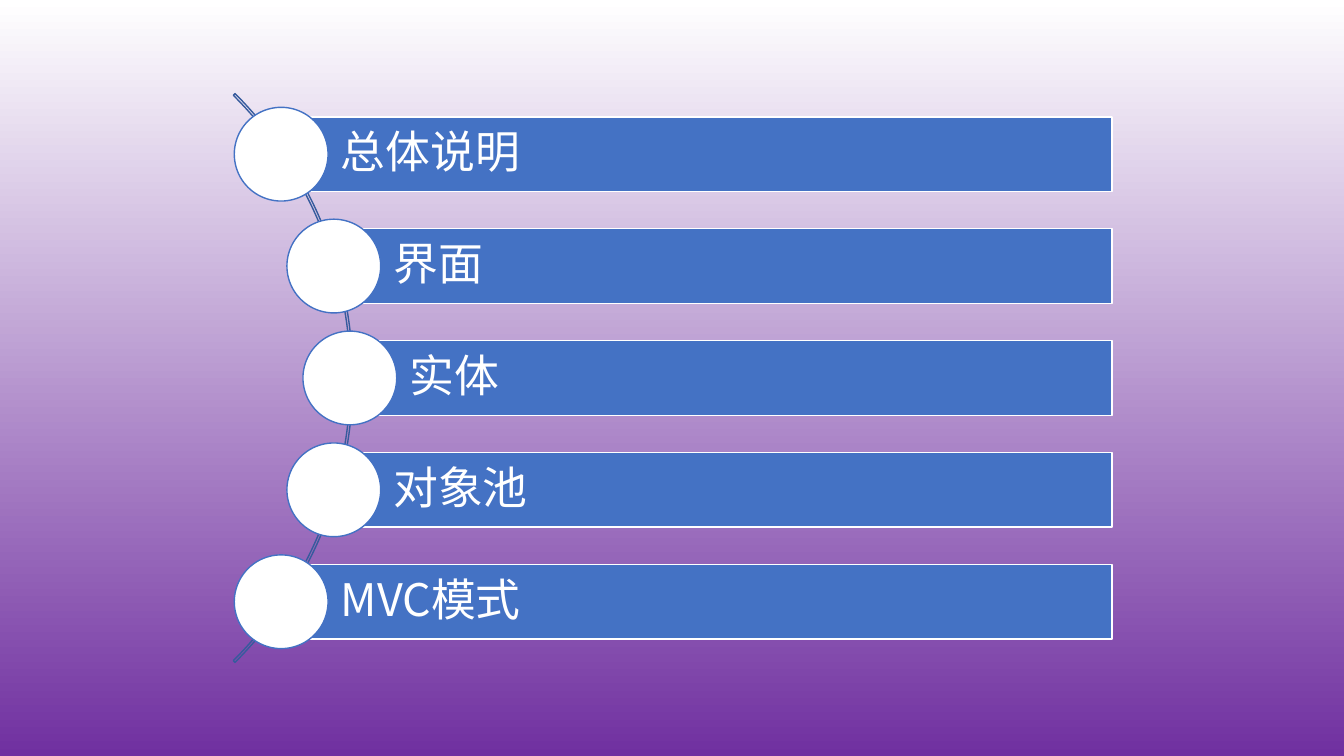
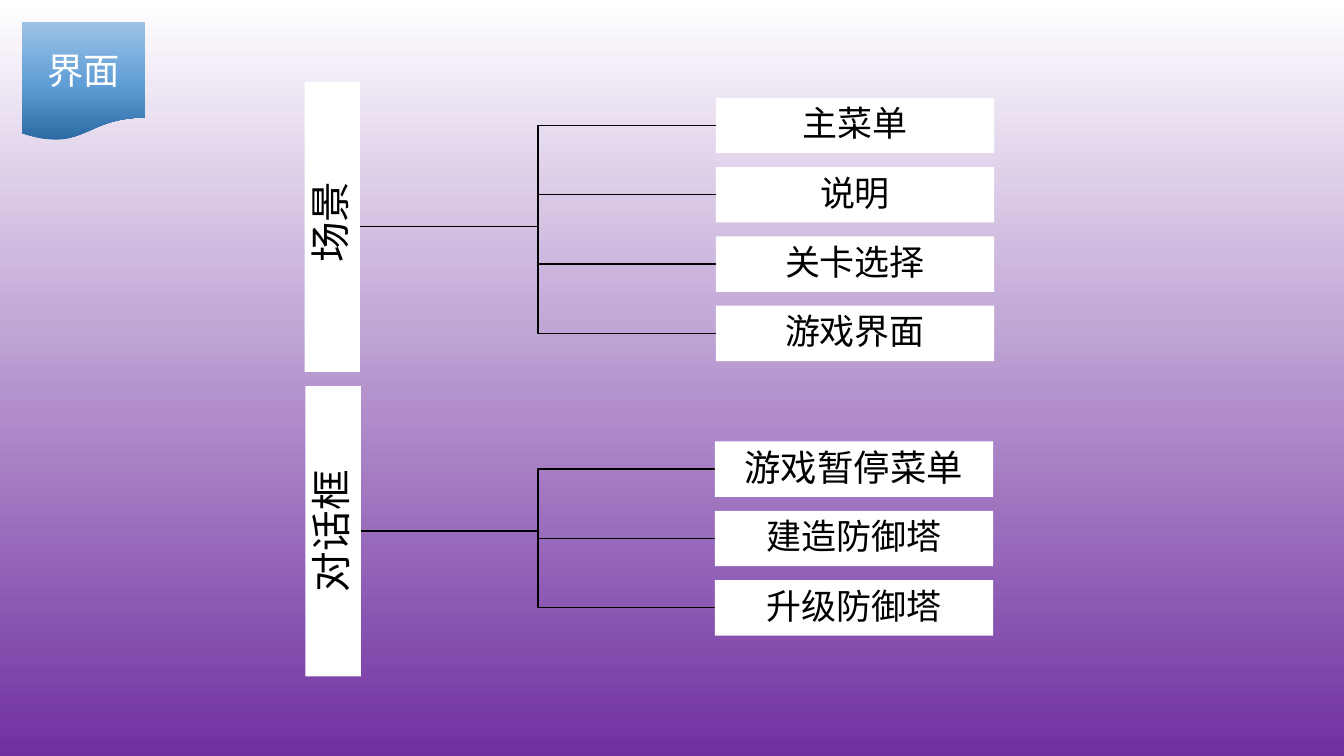
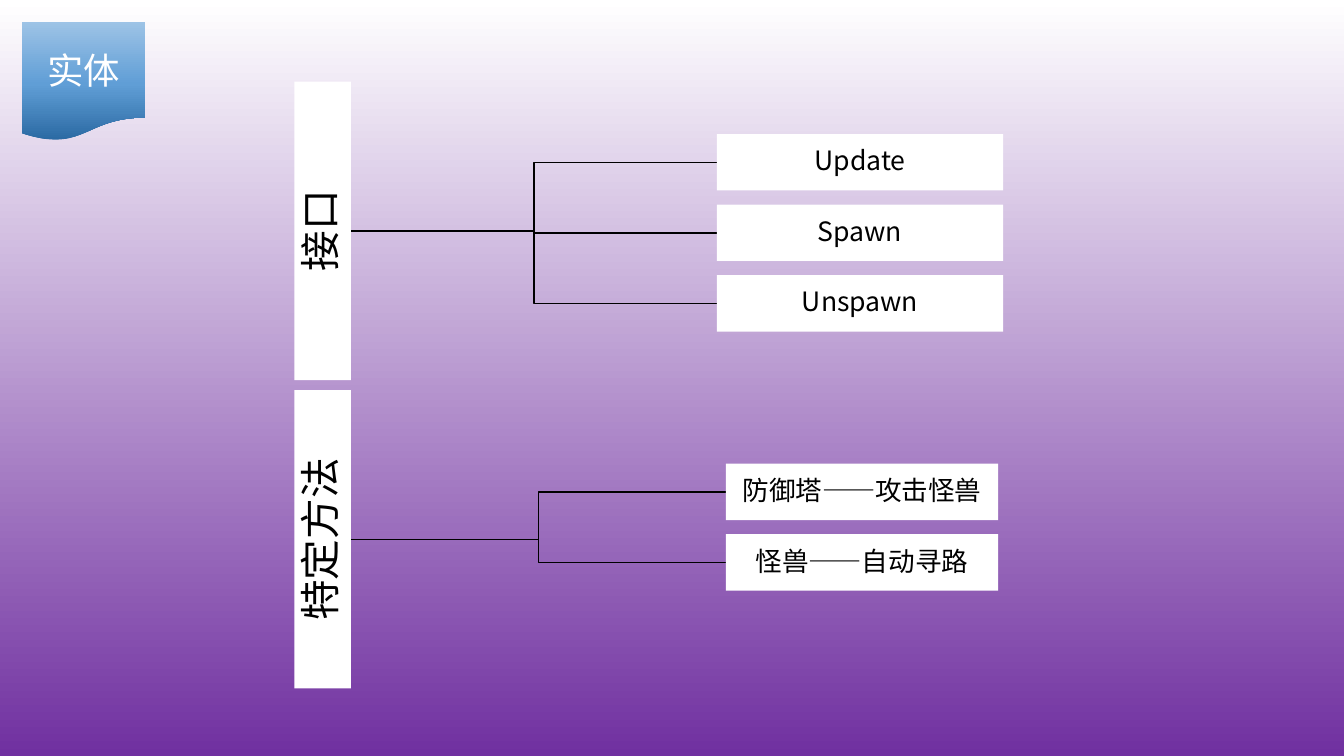
import copy
import math
import pptx
import pptx.util
import pptx.dml.color
import pptx.enum.shapes
import pptx.enum.text
import pptx.oxml
import pptx.oxml.ns

Inches = pptx.util.Inches
SHAPE = pptx.enum.shapes.MSO_SHAPE
ALIGN = pptx.enum.text.PP_ALIGN
FONT = "Noto Sans CJK SC"
WHITE, BLACK, BLUE, NAVY = "FFFFFF", "000000", "4472C4", "365B9D"
BACKGROUND = [(0, WHITE), (1, "7030A0")]
BADGE = [(0, "2A69A2"), (0.48, "609ED6"), (1, "9DC3E6")]


def rgb(value):
    return pptx.dml.color.RGBColor.from_string(value)


def set_gradient(fill, element, stops, angle):
    fill.gradient()
    fill.gradient_angle = angle
    gs_list = next(element.iter(pptx.oxml.ns.qn("a:gsLst")))
    while len(gs_list) < len(stops):
        gs_list.append(copy.deepcopy(gs_list[0]))
    for stop, (position, color) in zip(fill.gradient_stops, stops):
        stop.position = position
        stop.color.rgb = rgb(color)


def set_text(sp, text, size, color=BLACK, align=ALIGN.CENTER, inset=0.02,
             left_inset=None, spacing=0.9):
    tf = sp.text_frame
    tf.word_wrap = True
    tf.auto_size = pptx.enum.text.MSO_AUTO_SIZE.NONE
    tf.vertical_anchor = pptx.enum.text.MSO_ANCHOR.MIDDLE
    tf.margin_top = tf.margin_bottom = tf.margin_right = Inches(inset)
    tf.margin_left = Inches(inset if left_inset is None else left_inset)
    p = tf.paragraphs[0]
    p.alignment = align
    p.line_spacing = spacing
    r = p.add_run()
    r.text = text
    r.font.size = pptx.util.Pt(size)
    r.font.name = FONT
    r.font.color.rgb = rgb(color)
    ea = pptx.oxml.parse_xml(
        f'<a:ea {pptx.oxml.ns.nsdecls("a")} typeface="{FONT}"/>')
    r.font._element.find(pptx.oxml.ns.qn("a:latin")).addnext(ea)


def add_shape(s, kind, left, top, width, height, fill=None, line=None):
    sp = s.shapes.add_shape(kind, Inches(left), Inches(top),
                            Inches(width), Inches(height))
    sp.shadow.inherit = False
    if fill:
        sp.fill.solid()
        sp.fill.fore_color.rgb = rgb(fill)
    else:
        sp.fill.background()
    if line:
        sp.line.color.rgb = rgb(line)
        sp.line.width = pptx.util.Pt(1)
    else:
        sp.line.fill.background()
    return sp


def add_elbow(s, x1, y1, x2, y2):
    sp = s.shapes.add_connector(pptx.enum.shapes.MSO_CONNECTOR.ELBOW,
                                Inches(x1), Inches(y1), Inches(x2), Inches(y2))
    sp.line.color.rgb = rgb(BLACK)
    sp.line.width = pptx.util.Pt(1)
    sp._element.spPr.append(pptx.oxml.parse_xml(
        f'<a:effectLst {pptx.oxml.ns.nsdecls("a")}/>'))


def add_badge(s, text, left=0.22, top=0.22, width=1.22, height=1.18):
    sp = add_shape(s, SHAPE.FLOWCHART_DOCUMENT, left, top, width, height)
    set_gradient(sp.fill, sp._element, BADGE, 90)
    title = s.shapes.title
    title._element.addprevious(sp._element)
    title.left, title.top = Inches(left), Inches(top)
    title.width, title.height = Inches(width), Inches(height * 0.8)
    set_text(title, text, 26, WHITE, inset=0.05, spacing=1)


def add_agenda(s, items, center_x, center_y, radius, right, pitch):
    arc = add_shape(s, SHAPE.BLOCK_ARC, center_x - radius, center_y - radius,
                    2 * radius, 2 * radius, line=NAVY)
    for i, value in enumerate((189, 27, 0.003)):
        arc.adjustments[i] = value
    bar_h, dot = 0.74, 0.93
    for i, item in enumerate(items):
        dy = (i - (len(items) - 1) / 2) * pitch
        x = center_x + math.sqrt((radius - 0.03) ** 2 - dy ** 2)
        y = center_y + dy
        bar = add_shape(s, SHAPE.RECTANGLE, x, y - bar_h / 2, right - x, bar_h,
                        BLUE, WHITE)
        set_text(bar, item, 32, WHITE, ALIGN.LEFT, 0.09, 0.59)
        add_shape(s, SHAPE.OVAL, x - dot / 2, y - dot / 2, dot, dot, WHITE, BLUE)


def add_tree(s, label, leaves, left, center_y, length, node_h,
             leaf_left, leaf_top, leaf_w):
    root_right = left + node_h
    pitch = node_h * 1.25
    for i, (text, size) in enumerate(leaves):
        top = leaf_top + i * pitch
        add_elbow(s, root_right, center_y, leaf_left, top + node_h / 2)
        leaf = add_shape(s, SHAPE.RECTANGLE, leaf_left, top, leaf_w, node_h, WHITE)
        set_text(leaf, text, size)
    root = add_shape(s, SHAPE.RECTANGLE, left + (node_h - length) / 2,
                     center_y - node_h / 2, length, node_h, WHITE)
    root.rotation = 270
    set_text(root, label, 29)


def add_tree_slide(prs, title, trees):
    s = prs.slides.add_slide(prs.slide_layouts[5])
    add_badge(s, title)
    for tree in trees:
        add_tree(s, *tree)


prs = pptx.Presentation()
prs.slide_width, prs.slide_height = Inches(13.33), Inches(7.5)
master = prs.slide_master
set_gradient(master.background.fill, master._element, BACKGROUND, 270)

s = prs.slides.add_slide(prs.slide_layouts[6])
add_agenda(s, ["总体说明", "界面", "实体", "对象池", "MVC模式"],
           center_x=-0.49, center_y=3.75, radius=3.99, right=11.03, pitch=1.11)

add_tree_slide(prs, "界面", [
    (" 场景", [("主菜单", 25), ("说明", 25), ("关卡选择", 25), ("游戏界面", 25)],
     3.02, 2.25, 2.88, 0.55, 7.1, 0.97, 2.76),
    ("对话框", [("游戏暂停菜单", 26), ("建造防御塔", 25), ("升级防御塔", 25)],
     3.03, 5.27, 2.88, 0.55, 7.09, 4.38, 2.76),
])
add_tree_slide(prs, "实体", [
    ("接口", [("Update", 19), ("Spawn", 19), ("Unspawn", 19)],
     2.92, 2.29, 2.96, 0.56, 7.11, 1.33, 2.84),
    ("特定方法", [("防御塔——攻击怪兽", 19), ("怪兽——自动寻路", 19)],
     2.92, 5.35, 2.96, 0.56, 7.2, 4.6, 2.7),
])

prs.save("out.pptx")
